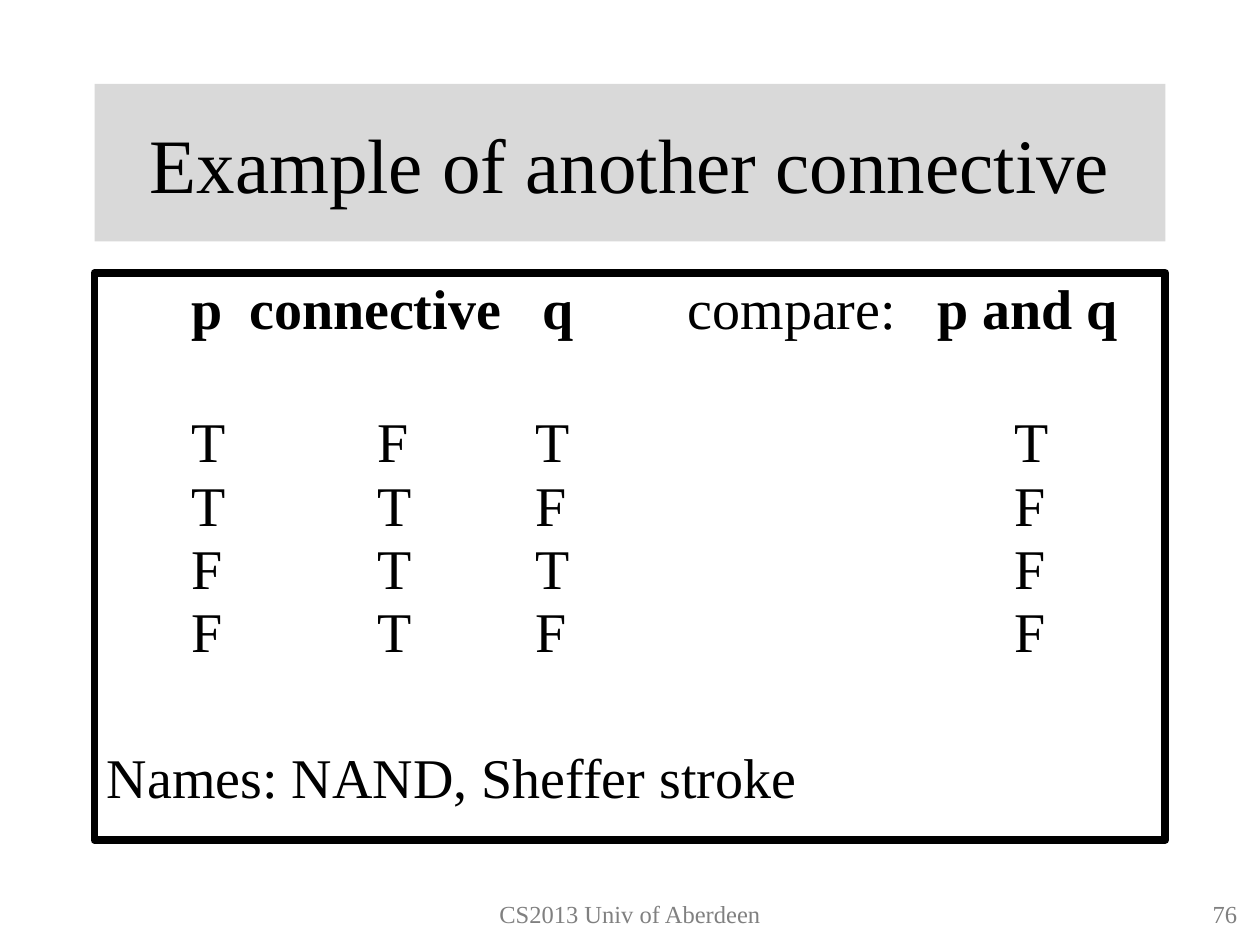
from dataclasses import dataclass

from lxml import etree
from pptx import Presentation
from pptx.dml.color import RGBColor
from pptx.enum.shapes import MSO_SHAPE
from pptx.enum.text import MSO_ANCHOR, PP_ALIGN
from pptx.oxml.ns import qn
from pptx.util import Inches, Pt

RECTANGLE = MSO_SHAPE.RECTANGLE
TOP, MIDDLE = MSO_ANCHOR.TOP, MSO_ANCHOR.MIDDLE
LEFT, CENTER, RIGHT = PP_ALIGN.LEFT, PP_ALIGN.CENTER, PP_ALIGN.RIGHT
TITLE_ONLY = 5
COLUMNS, ROWS = 120, 90

HEADING_STOPS = (0.67, 1.13, 3.46, 4.61, 6.59)
VALUE_STOPS = (0.67, 2.15, 3.4, 7.2)
TRUTH_VALUES = ("TFTT", "TTFF", "FTTF", "FTFF")


@dataclass(frozen=True)
class Theme:
    font: str = "Times New Roman"
    ink: RGBColor = RGBColor(0, 0, 0)
    paper: RGBColor = RGBColor(255, 255, 255)
    band: RGBColor = RGBColor(0xD9, 0xD9, 0xD9)
    muted: RGBColor = RGBColor(0x80, 0x80, 0x80)
    title_size: int = 44
    body_size: int = 32
    footer_size: int = 14
    border: float = 4.5
    line_spacing: float = 0.94


class SlideBuilder:
    def __init__(self, deck, theme):
        self.theme = theme
        self.column = deck.slide_width / COLUMNS
        self.row = deck.slide_height / ROWS
        self.slide = deck.slides.add_slide(deck.slide_layouts[TITLE_ONLY])

    def area(self, left, top, width, height):
        return (round(left * self.column), round(top * self.row),
                round(width * self.column), round(height * self.row))

    def style(self, run, size, color, bold=False):
        run.font.name = self.theme.font
        run.font.size = Pt(size)
        run.font.color.rgb = color
        run.font.bold = bold

    def title(self, text, *cells):
        heading = self.slide.shapes.title
        heading.left, heading.top, heading.width, heading.height = self.area(*cells)
        heading.fill.solid()
        heading.fill.fore_color.rgb = self.theme.band
        heading.text_frame.text = text
        heading.text_frame.vertical_anchor = MIDDLE
        paragraph = heading.text_frame.paragraphs[0]
        paragraph.alignment = CENTER
        self.style(paragraph.runs[0], self.theme.title_size, self.theme.ink)

    def panel(self, *cells):
        frame = self.slide.shapes.add_shape(RECTANGLE, *self.area(*cells))
        frame.shadow.inherit = False
        frame.fill.solid()
        frame.fill.fore_color.rgb = self.theme.paper
        frame.line.color.rgb = self.theme.ink
        frame.line.width = Pt(self.theme.border)
        frame.text_frame.word_wrap = True
        frame.text_frame.vertical_anchor = TOP
        return frame.text_frame

    def line(self, paragraph, text, stops=(), before=0, bold_parts=()):
        paragraph.alignment = LEFT
        paragraph.line_spacing = self.theme.line_spacing
        paragraph.space_before = Pt(before)
        if stops:
            tabs = etree.SubElement(paragraph._p.get_or_add_pPr(), qn("a:tabLst"))
            for stop in stops:
                etree.SubElement(tabs, qn("a:tab"), pos=str(Inches(stop)), algn="l")
        if bold_parts:
            for part in bold_parts:
                run = paragraph.add_run()
                run.text = part[0]
                self.style(run, self.theme.body_size, self.theme.ink, part[1])
        else:
            paragraph.text = text
            for run in paragraph.runs:
                self.style(run, self.theme.body_size, self.theme.ink)

    def footer(self, text, alignment, *cells):
        note = self.slide.shapes.add_textbox(*self.area(*cells)).text_frame
        note.word_wrap = True
        note.text = text
        note.paragraphs[0].alignment = alignment
        self.style(note.paragraphs[0].runs[0], self.theme.footer_size, self.theme.muted)


def main():
    deck = Presentation()
    deck.slide_width, deck.slide_height = Inches(10), Inches(7.5)
    builder = SlideBuilder(deck, Theme())
    builder.title("Example of another connective", 9, 8, 102, 15)

    truth_table = builder.panel(9, 26, 102, 54)
    builder.line(truth_table.paragraphs[0], "", HEADING_STOPS, bold_parts=(
        ("\tp\tconnective\tq", True), ("\tcompare:", False), ("\tp and q", True)))
    values = "\v".join("\t" + "\t".join(row) for row in TRUTH_VALUES)
    builder.line(truth_table.add_paragraph(), values, VALUE_STOPS, before=40)
    builder.line(truth_table.add_paragraph(), "Names: NAND, Sheffer stroke", before=47.5)

    builder.footer("CS2013 Univ of Aberdeen", CENTER, 41, 85, 38, 4)
    builder.footer("76", RIGHT, 94, 85, 25, 4)
    deck.save("out.pptx")


if __name__ == "__main__":
    main()
